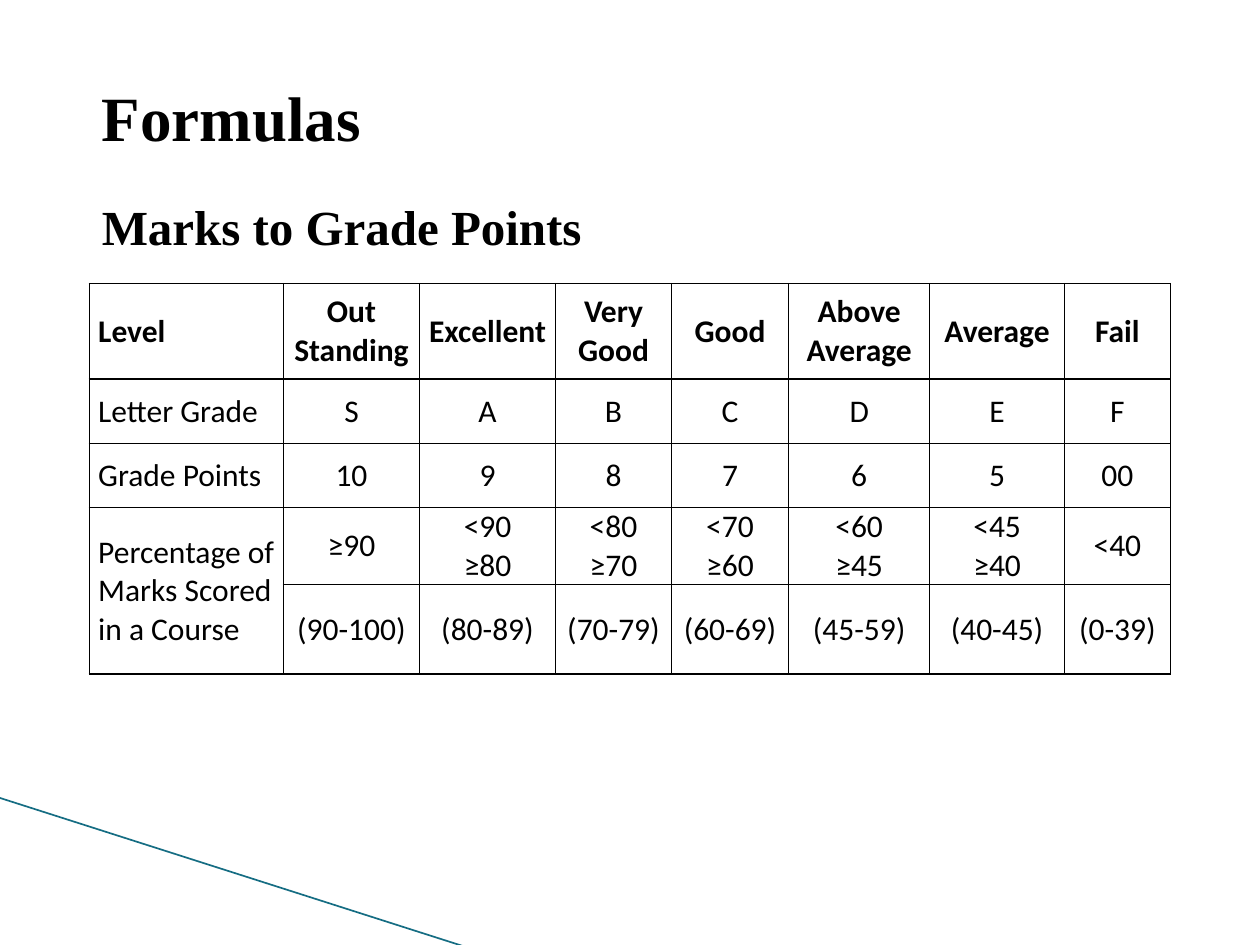
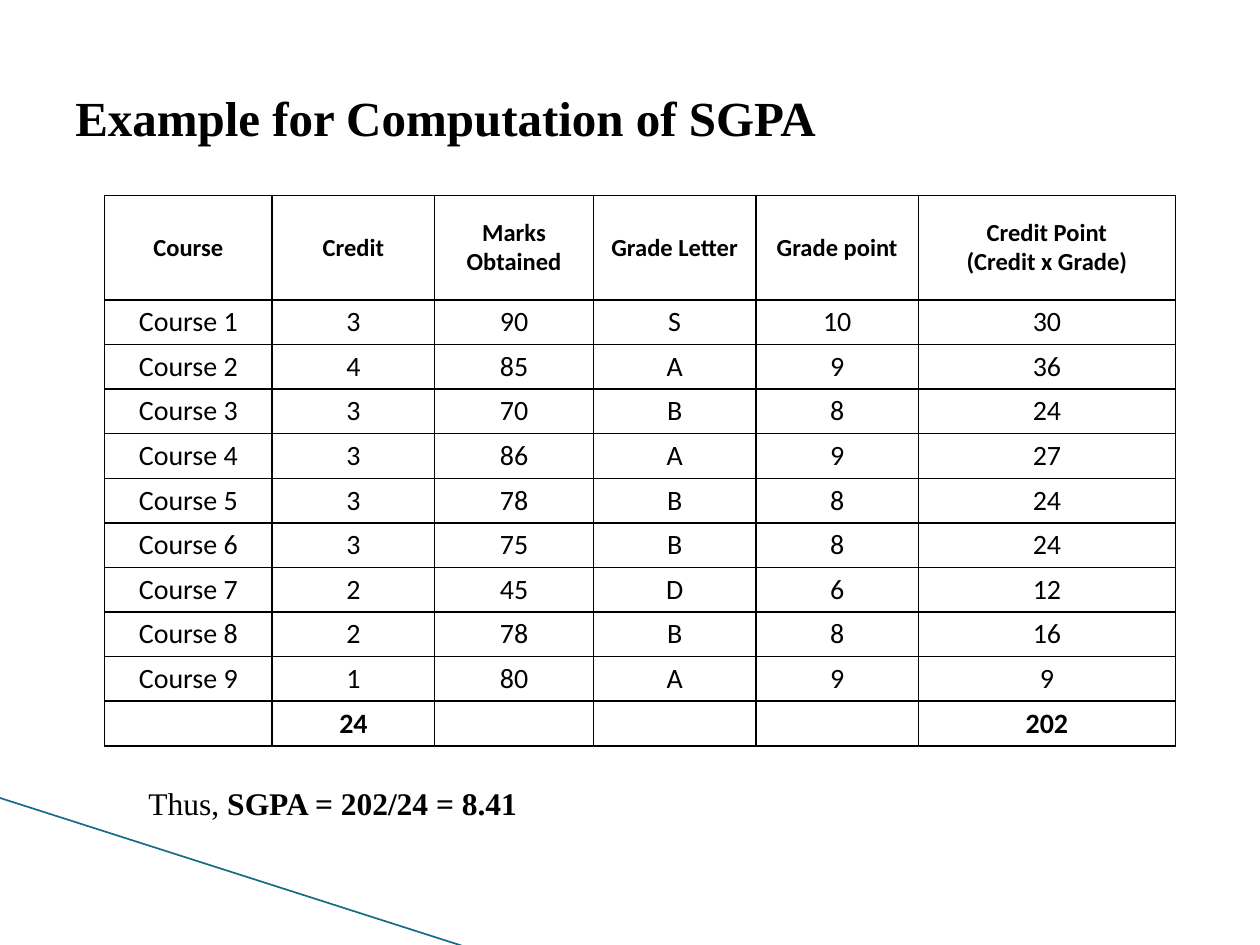
"""Build two slides on grade points and the computation of SGPA."""
from lxml.etree import SubElement
from pptx import Presentation
from pptx.dml.color import RGBColor
from pptx.enum.shapes import MSO_CONNECTOR
from pptx.enum.text import MSO_ANCHOR, PP_ALIGN
from pptx.oxml import parse_xml
from pptx.oxml.ns import nsdecls, qn
from pptx.util import Inches, Pt

BLACK = RGBColor(0, 0, 0)
WHITE = RGBColor(255, 255, 255)
TEAL = RGBColor(0x15, 0x6D, 0x83)
HEADING_FONT = "Times New Roman"
TABLE_FONT = "Calibri"


def add_text(slide, box, runs, size, anchor=MSO_ANCHOR.MIDDLE):
    """Add one paragraph made of (text, bold) runs."""
    text_box = slide.shapes.add_textbox(*map(Inches, box))
    frame = text_box.text_frame
    frame.word_wrap = True
    frame.vertical_anchor = anchor
    paragraph = frame.paragraphs[0]
    paragraph.font.name = HEADING_FONT
    paragraph.font.size = Pt(size)
    paragraph.font.color.rgb = BLACK
    for text, bold in runs:
        run = paragraph.add_run()
        run.text = text
        run.font.bold = bold


def add_grid(slide, left, top, widths, heights, rows, header_size, body_size, bold_rows):
    """Add a white table with thin black borders and return it."""
    frame = slide.shapes.add_table(
        len(rows), len(widths), Inches(left), Inches(top),
        Inches(sum(widths)), Inches(sum(heights)))
    table = frame.table
    table.first_row = False
    table.horz_banding = False
    for column, width in zip(table.columns, widths):
        column.width = Inches(width)
    for row, height in zip(table.rows, heights):
        row.height = Inches(height)
    for row_index, values in enumerate(rows):
        for column_index, value in enumerate(values):
            cell = table.cell(row_index, column_index)
            cell.text = value
            cell.vertical_anchor = MSO_ANCHOR.MIDDLE
            cell.margin_left = cell.margin_right = Inches(0.07)
            cell.margin_top = cell.margin_bottom = 0
            for paragraph in cell.text_frame.paragraphs:
                paragraph.alignment = PP_ALIGN.CENTER
                paragraph.font.name = TABLE_FONT
                paragraph.font.size = Pt(body_size if row_index else header_size)
                paragraph.font.bold = row_index in bold_rows
                paragraph.font.color.rgb = BLACK
            properties = cell._tc.get_or_add_tcPr()
            for side in ("lnL", "lnR", "lnT", "lnB"):
                properties.append(parse_xml(
                    f'<a:{side} {nsdecls("a")} w="{Pt(1)}"><a:solidFill>'
                    f'<a:srgbClr val="{BLACK}"/></a:solidFill></a:{side}>'))
            cell.fill.solid()
            cell.fill.fore_color.rgb = WHITE
    return table


presentation = Presentation()
presentation.slide_width = Inches(10)
presentation.slide_height = Inches(7.5)
blank_layout = presentation.slide_layouts[6]
formulas_slide, example_slide = [
    presentation.slides.add_slide(blank_layout) for _ in range(2)]

for slide in (formulas_slide, example_slide):
    corner_line = slide.shapes.add_connector(
        MSO_CONNECTOR.STRAIGHT, Inches(-0.01), Inches(6.33), Inches(3.71), Inches(7.52))
    corner_line.line.color.rgb = TEAL
    corner_line.line.width = Pt(0.95)
    SubElement(corner_line._element.spPr, qn("a:effectLst"))

grade_rows = [
    ["Level", "Out Standing", "Excellent", "Very Good", "Good", "Above Average",
     "Average", "Fail"],
    ["Letter Grade", *"SABCDEF"],
    ["Grade Points", "10", "9", "8", "7", "6", "5", "00"],
    ["Percentage of Marks Scored in a Course", "≥90", "<90\n≥80", "<80\n≥70",
     "<70\n≥60", "<60\n≥45", "<45\n≥40", "<40"],
    ["", "(90-100)", "(80-89)", "(70-79)", "(60-69)", "(45-59)", "(40-45)", "(0-39)"],
]
grade_table = add_grid(
    formulas_slide, 0.71, 2.25, [1.54, 1.08, 1.08, 0.92, 0.93, 1.12, 1.07, 0.84],
    [0.76, 0.51, 0.51, 0.61, 0.71], grade_rows, 18, 18, {0})
for row_index in range(4):
    grade_table.cell(row_index, 0).text_frame.paragraphs[0].alignment = PP_ALIGN.LEFT
grade_table.cell(3, 0).merge(grade_table.cell(4, 0))
add_text(formulas_slide, (0.71, 0.67, 8.96, 0.5), [("Formulas", True)], 36)
add_text(formulas_slide, (0.71, 1.48, 8.96, 0.62), [("Marks to Grade Points", True)], 28)

course_results = [
    (3, 90, "S", 10), (4, 85, "A", 9), (3, 70, "B", 8), (3, 86, "A", 9), (3, 78, "B", 8),
    (3, 75, "B", 8), (2, 45, "D", 6), (2, 78, "B", 8), (1, 80, "A", 9),
]
course_rows = [["Course", "Credit", "Marks\nObtained", "Grade Letter", "Grade point",
                "Credit Point\n(Credit x Grade)"]]
for number, (credit, marks, letter, point) in enumerate(course_results, 1):
    course_rows.append([f"Course {number}", str(credit), str(marks), letter, str(point),
                        str(credit * point)])
total_credit = sum(result[0] for result in course_results)
total_points = sum(result[0] * result[3] for result in course_results)
course_rows.append(["", str(total_credit), "", "", "", str(total_points)])
add_grid(
    example_slide, 0.83, 1.55, [1.33, 1.29, 1.26, 1.29, 1.29, 2.04],
    [0.83] + [0.354] * 10, course_rows, 14, 16, {0, 10})
add_text(example_slide, (0.5, 0.3, 9, 1.25), [("Example for Computation of SGPA", True)], 28)
add_text(example_slide, (1.08, 6.17, 8.25, 0.71),
         [("Thus, ", False), ("SGPA = 202/24 = 8.41", True)], 18, MSO_ANCHOR.TOP)

presentation.save("out.pptx")
